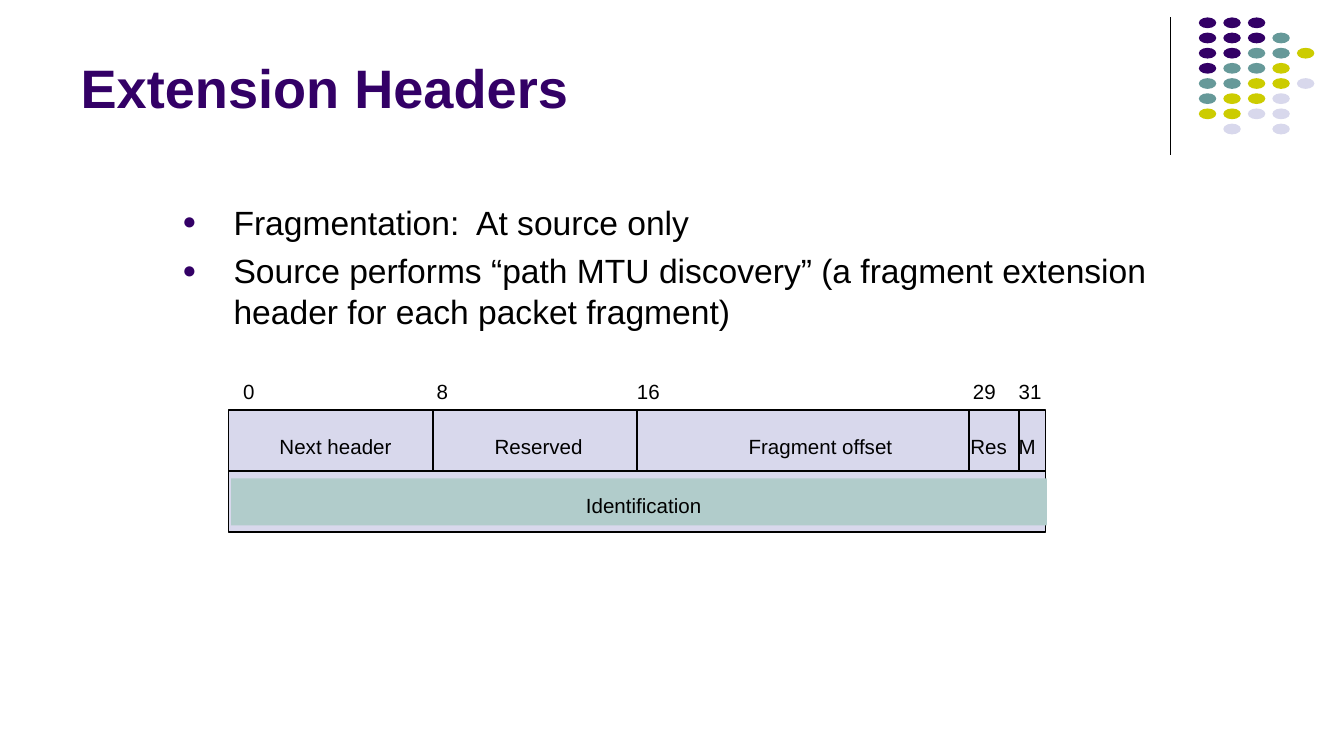
from lxml.etree import SubElement
from pptx import Presentation
from pptx.dml.color import RGBColor
from pptx.enum.shapes import MSO_CONNECTOR as CONNECTOR, MSO_SHAPE as SHAPE
from pptx.enum.text import MSO_ANCHOR as ANCHOR, MSO_AUTO_SIZE as AUTO, PP_ALIGN as ALIGN
from pptx.oxml.ns import qn
from pptx.util import Inches, Pt

BLACK = RGBColor(0x00, 0x00, 0x00)
PURPLE = RGBColor(0x33, 0x00, 0x66)
TEAL = RGBColor(0x66, 0x99, 0x99)
OLIVE = RGBColor(0xCC, 0xCC, 0x00)
LAVENDER = RGBColor(0xD8, 0xD8, 0xEC)
PALE_TEAL = RGBColor(0xB1, 0xCC, 0xCB)

TITLE_FONT = {"name": "Arial", "size": Pt(29), "bold": True}
BODY_FONT = {"name": "Arial", "size": Pt(18)}
LABEL_FONT = {"name": "Arial", "size": Pt(11)}
NO_MARGINS = dict.fromkeys(("margin_left", "margin_top", "margin_right", "margin_bottom"), 0)


def write(paragraph, text, font_values, color):
    paragraph.text = text
    for name, value in font_values.items():
        setattr(paragraph.font, name, value)
    paragraph.font.color.rgb = color


def add_line(shapes, x1, y1, x2, y2, width):
    line = shapes.add_connector(CONNECTOR.STRAIGHT, Inches(x1), Inches(y1), Inches(x2), Inches(y2))
    line.line.color.rgb = BLACK
    line.line.width = Pt(width)
    SubElement(line._element.spPr, qn("a:effectLst"))
    return line


prs = Presentation()
prs.slide_width = Inches(10)
prs.slide_height = Inches(10 * 9 / 16)
slide = prs.slides.add_slide(prs.slide_layouts[5])

add_line(slide.shapes, 8.71, 0.13, 8.71, 1.15, 0.75)

DOT_COLORS = {"P": PURPLE, "T": TEAL, "O": OLIVE, "L": LAVENDER}
DOT_ROWS = ["PPP", "PPPT", "PPTTO", "PTTO", "TTOOL", "TOOL", "OOLL", " L L"]
dots = slide.shapes.add_group_shape().shapes
for row, codes in enumerate(DOT_ROWS):
    for column, code in enumerate(codes):
        if code in DOT_COLORS:
            dot = dots.add_shape(SHAPE.OVAL, Inches(8.92 + 0.73 / 4 * column),
                                 Inches(0.13 + 0.79 / 7 * row), Inches(0.13), Inches(0.08))
            dot.shadow.inherit = False
            dot.fill.solid()
            dot.fill.fore_color.rgb = DOT_COLORS[code]
            dot.line.fill.background()

title = slide.shapes.title
title.left, title.top, title.width, title.height = map(Inches, (0.5, 0.1, 8.25, 0.84))
title.text_frame.vertical_anchor = ANCHOR.BOTTOM
title.text_frame.auto_size = AUTO.NONE
heading = title.text_frame.paragraphs[0]
write(heading, "Extension Headers", TITLE_FONT, PURPLE)
heading.alignment = ALIGN.LEFT

header = slide.shapes.add_group_shape().shapes
frame = header.add_shape(SHAPE.RECTANGLE, Inches(1.7), Inches(3.05), Inches(6.08), Inches(0.91))
band = header.add_shape(SHAPE.RECTANGLE, Inches(1.72), Inches(3.56), Inches(6.07), Inches(0.35))
for box, color in ((frame, LAVENDER), (band, PALE_TEAL)):
    box.shadow.inherit = False
    box.fill.solid()
    box.fill.fore_color.rgb = color
frame.line.color.rgb = BLACK
frame.line.width = Pt(1)
band.line.fill.background()

row_divider = add_line(header, 1.7, 3.51, 7.78, 3.51, 1)
row_divider.begin_connect(frame, 1)
row_divider.end_connect(frame, 3)
for x in (3.22, 7.21, 7.58):
    add_line(header, x, 3.05, x, 3.51, 1)
half_divider = add_line(header, 4.74, 3.05, 4.74, 3.51, 1)
half_divider.begin_connect(frame, 0)

LABEL_ROWS = [
    (2.82, [("0", 1.81), ("8", 3.25), ("16", 4.74), ("29", 7.24), ("31", 7.58)]),
    (3.23, [("Next header", 2.08), ("Reserved", 3.68), ("Fragment offset", 5.57),
            ("Res", 7.22), ("M", 7.58)]),
    (3.67, [("Identification", 4.36)]),
]
for top, labels in LABEL_ROWS:
    left = labels[0][1]
    label_width = 7.78 - left if len(labels) > 1 else 0.9
    label_box = header.add_textbox(Inches(left), Inches(top), Inches(label_width), Inches(0.18))
    label_frame = label_box.text_frame
    label_frame.word_wrap = True
    for name, value in NO_MARGINS.items():
        setattr(label_frame, name, value)
    label_line = label_frame.paragraphs[0]
    tabs = SubElement(label_line._p.get_or_add_pPr(), qn("a:tabLst"))
    for _, x in labels[1:]:
        SubElement(tabs, qn("a:tab"), pos=str(Inches(x - left)), algn="l")
    write(label_line, "\t".join(text for text, _ in labels), LABEL_FONT, BLACK)

POINTS = [
    "Fragmentation:  At source only",
    "Source performs “path MTU discovery” (a fragment extension header for each packet fragment)",
]
body = slide.shapes.add_textbox(Inches(0.76), Inches(1.45), Inches(8.3), Inches(2.4)).text_frame
body.word_wrap = True
for number, text in enumerate(POINTS):
    point = body.add_paragraph() if number else body.paragraphs[0]
    point.level = 1
    point.space_before = Pt(4.5 if number else 0)
    properties = point._p.get_or_add_pPr()
    properties.set("marL", str(Inches(0.88)))
    properties.set("indent", str(Inches(-0.38)))
    bullet_color = SubElement(properties, qn("a:buClr"))
    SubElement(bullet_color, qn("a:srgbClr"), val=str(PURPLE))
    SubElement(properties, qn("a:buSzPct"), val="70000")
    SubElement(properties, qn("a:buFont"), typeface="Arial")
    SubElement(properties, qn("a:buChar"), char="●")
    write(point, text, BODY_FONT, BLACK)

prs.save("out.pptx")
